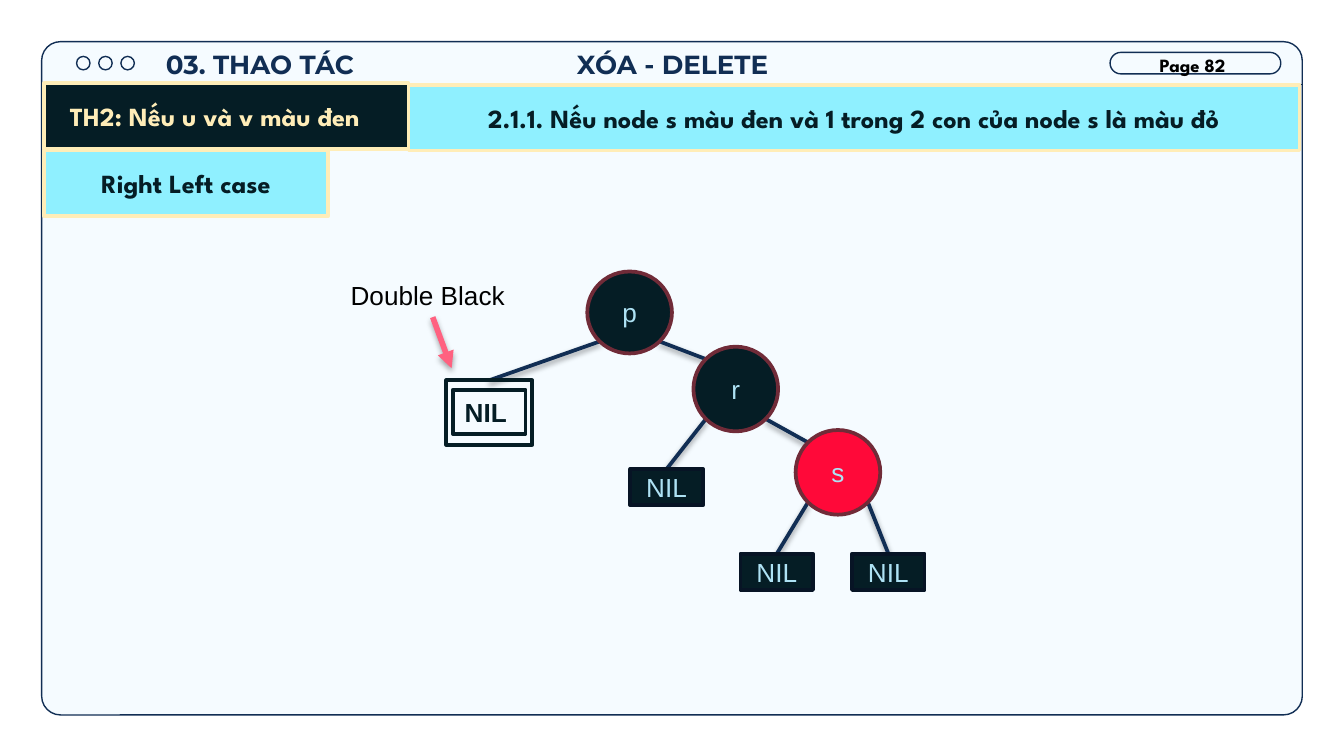
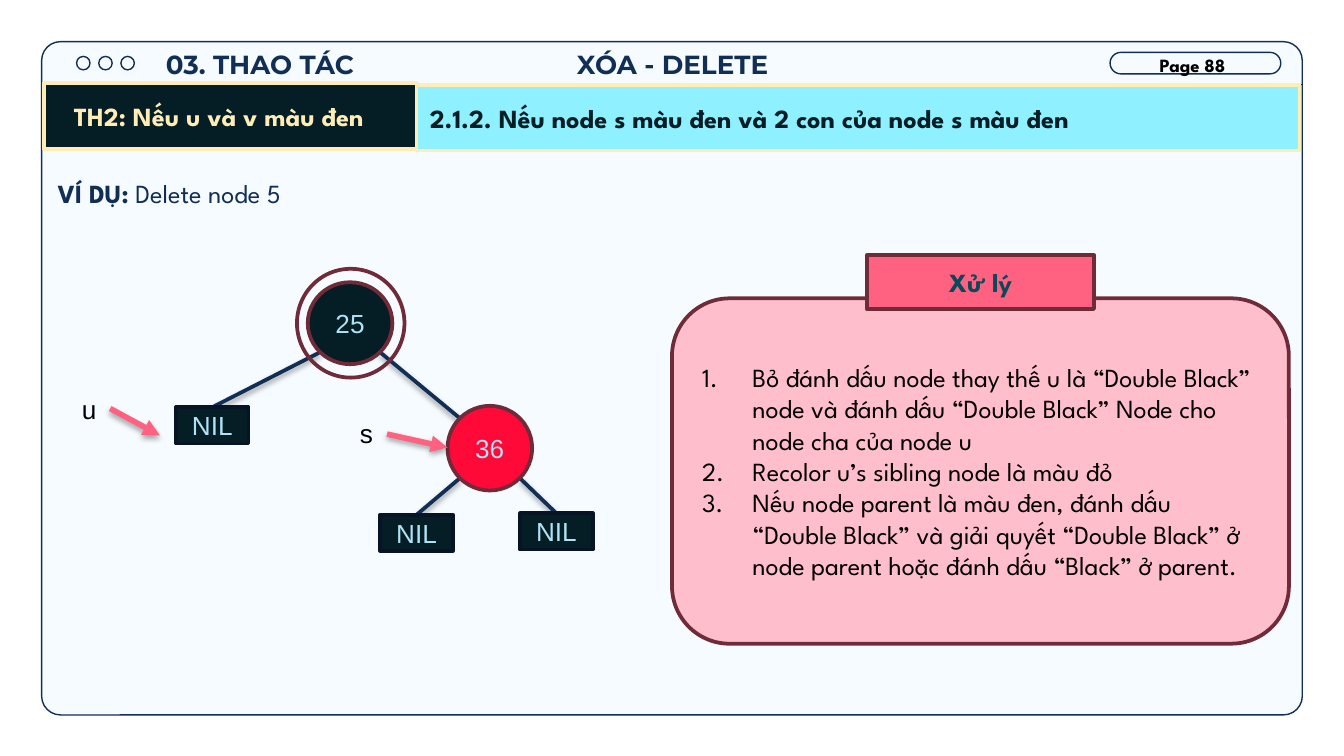
from dataclasses import dataclass
from itertools import count
from math import sqrt
from typing import NamedTuple, Optional

from lxml.etree import SubElement
from pptx import Presentation
from pptx.dml.color import RGBColor
from pptx.enum.shapes import MSO_CONNECTOR, MSO_SHAPE
from pptx.enum.text import MSO_ANCHOR, MSO_AUTO_SIZE, PP_ALIGN
from pptx.oxml.ns import qn
from pptx.util import Emu, Inches, Pt

SLIDE_WIDTH, SLIDE_HEIGHT = Inches(10), Inches(5.625)
COLUMNS = 100
CELL = SLIDE_WIDTH // COLUMNS

NAVY = RGBColor(0x11, 0x2E, 0x54)
INK = RGBColor(0x05, 0x1D, 0x25)
NIL_EDGE = RGBColor(0x07, 0x14, 0x25)
PAPER = RGBColor(0xF5, 0xFB, 0xFF)
CREAM = RGBColor(0xFF, 0xED, 0xB8)
CYAN = RGBColor(0x8F, 0xF0, 0xFF)
PALE_BLUE = RGBColor(0xAE, 0xE2, 0xF4)
RED = RGBColor(0xFF, 0x09, 0x39)
WINE = RGBColor(0x70, 0x2B, 0x38)
CORAL = RGBColor(0xFF, 0x61, 0x80)
PINK = RGBColor(0xFF, 0xBE, 0xCB)
TEAL = RGBColor(0x0C, 0x48, 0x5C)
BLACK = RGBColor(0, 0, 0)

LEFT, CENTER = PP_ALIGN.LEFT, PP_ALIGN.CENTER
DIAGONAL = sqrt(2) / 4


class Area(NamedTuple):
    """A rectangle in grid cells."""
    column: float
    row: float
    columns: float
    rows: float


class Point(NamedTuple):
    """A position in grid cells."""
    column: float
    row: float


class Run(NamedTuple):
    """A stretch of text in one format."""
    text: str
    font: str
    color: RGBColor
    bold: bool = False
    size: float = 14


class Look(NamedTuple):
    """Fill and outline of a shape."""
    fill: Optional[RGBColor]
    line: RGBColor
    width: float = 2


@dataclass(frozen=True)
class Node:
    """A tree node: a round key or a square NIL leaf."""
    label: str
    area: Area
    color: RGBColor = INK
    round: bool = True

    def corner(self, side: int, end: int) -> Point:
        """Return the rim point at a diagonal, or the top middle of a leaf."""
        column, row, columns, rows = self.area
        middle = column + columns / 2
        if not self.round:
            return Point(middle, row)
        return Point(middle + side * DIAGONAL * columns, row + rows / 2 + end * DIAGONAL * rows)


FRAME = Look(PAPER, NAVY, 0.75)
OUTLINE = Look(None, NAVY, 0.75)
DARK_BAND = Look(INK, CREAM)
CYAN_BAND = Look(CYAN, CREAM)
DOUBLE_BLACK = Look(None, INK)


def span(cells: float) -> Emu:
    """Turn grid cells into a length."""
    return Emu(round(cells * CELL))


def place(area: Area) -> list:
    """Turn an area into left, top, width and height."""
    return [span(cells) for cells in area]


def write(frame, paragraphs: list, align=LEFT, anchor=MSO_ANCHOR.TOP, inset: float = 0.5):
    """Fill a text frame with paragraphs of runs."""
    frame.word_wrap = True
    frame.auto_size = MSO_AUTO_SIZE.NONE
    frame.vertical_anchor = anchor
    frame.margin_left = frame.margin_right = span(1)
    frame.margin_top = frame.margin_bottom = span(inset)
    for index, runs in enumerate(paragraphs):
        paragraph = frame.add_paragraph() if index else frame.paragraphs[0]
        paragraph.alignment = align
        for part in runs:
            run = paragraph.add_run()
            run.text = part.text
            run.font.name, run.font.size = part.font, Pt(part.size)
            run.font.bold, run.font.color.rgb = part.bold, part.color
    return frame


def draw_text(shapes, area: Area, runs: list, **layout):
    """Add a text box and return its frame."""
    return write(shapes.add_textbox(*place(area)).text_frame, [runs], **layout)


def draw_shape(shapes, kind: MSO_SHAPE, area: Area, look: Look, paragraphs: list = (), align=CENTER):
    """Add a flat preset shape with centred text."""
    shape = shapes.add_shape(kind, *place(area))
    shape.shadow.inherit = False
    if look.fill is None:
        shape.fill.background()
    else:
        shape.fill.solid()
        shape.fill.fore_color.rgb = look.fill
    shape.line.color.rgb, shape.line.width = look.line, Pt(look.width)
    if paragraphs:
        write(shape.text_frame, paragraphs, align, MSO_ANCHOR.MIDDLE)
    return shape


def draw_line(shapes, start: Point, end: Point, color: RGBColor = NAVY, width: float = 2,
              shadow: int = 38, arrow: bool = False) -> None:
    """Add a straight line with a soft shadow and an optional arrowhead."""
    line = shapes.add_connector(MSO_CONNECTOR.STRAIGHT, *place((*start, *end)))
    line.line.color.rgb, line.line.width = color, Pt(width)
    properties = line.element.spPr
    if arrow:
        SubElement(properties.find(qn("a:ln")), qn("a:tailEnd"), type="triangle")
    effects = SubElement(properties, qn("a:effectLst"))
    if shadow:
        outer = SubElement(effects, qn("a:outerShdw"), blurRad=str(Pt(3.1)), dist=str(Pt(1.7)),
                           dir="5400000", algn="t", rotWithShape="0")
        shade = SubElement(outer, qn("a:srgbClr"), val=str(BLACK))
        SubElement(shade, qn("a:alpha"), val=str(shadow * 1000))


def draw_pointer(shapes, start: Point, end: Point, area: Area, label: str) -> None:
    """Add a labelled coral arrow."""
    draw_line(shapes, start, end, CORAL, 3, 35, True)
    draw_text(shapes, area, [Run(label, "Arial", BLACK)])


def key(label: str, column: float, row: float, color: RGBColor = INK, rows: float = 6.3) -> Node:
    """Make a round node."""
    return Node(label, Area(column, row, 6.3, rows), color)


def leaf(column: float, row: float) -> Node:
    """Make a NIL leaf."""
    return Node("NIL", Area(column, row, 5.4, 2.7), round=False)


def draw_node(shapes, node: Node) -> None:
    """Add a tree node with its label."""
    kind = MSO_SHAPE.FLOWCHART_CONNECTOR if node.round else MSO_SHAPE.RECTANGLE
    look = Look(node.color, WINE if node.round else NIL_EDGE)
    draw_shape(shapes, kind, node.area, look, [[Run(node.label, "Arial", PALE_BLUE)]])


def draw_branches(shapes, parent: Node, left: Node, right: Node) -> None:
    """Join a parent to its two children."""
    for side, child in ((-1, left), (1, right)):
        draw_line(shapes, parent.corner(side, 1), child.corner(-side, -1))


def draw_band(shapes, area: Area, text: str, look: Look = CYAN_BAND, color: RGBColor = INK, align=CENTER):
    """Add a heading band."""
    return draw_shape(shapes, MSO_SHAPE.RECTANGLE, area, look,
                      [[Run(text, "League Spartan", color, True)]], align)


def move_frame_to_layout(slide) -> None:
    """Draw the window frame once and keep it on the layout."""
    frame = slide.shapes.add_group_shape()
    window = draw_shape(frame.shapes, MSO_SHAPE.ROUNDED_RECTANGLE, Area(3.1, 3.1, 93.8, 50.1), FRAME)
    window.adjustments[0] = 0.028
    for index in range(3):
        draw_shape(frame.shapes, MSO_SHAPE.OVAL, Area(5.7 + 1.65 * index, 4.2, 1, 1), OUTLINE)
    pill = draw_shape(frame.shapes, MSO_SHAPE.ROUNDED_RECTANGLE, Area(82.6, 3.9, 12.7, 1.6), OUTLINE)
    pill.adjustments[0] = 0.5
    draw_line(frame.shapes, Point(3.1, 6.3), Point(96.9, 6.3), width=0.75, shadow=0)
    for number, properties in zip(count(100), frame.element.xpath("descendant::p:cNvPr")):
        properties.set("id", str(number))
    slide.slide_layout.shapes.element.append(frame.element)


def draw_header(slide, page: int, split: float, case: str, align=CENTER) -> None:
    """Add the title, section, page number and the two case bands."""
    title = slide.shapes.title
    title.left, title.top, title.width, title.height = place(Area(7.9, 2.6, 84.3, 3.9))
    write(title.text_frame, [[Run("XÓA - DELETE", "Montserrat", NAVY, True)]], CENTER, inset=1)
    draw_text(slide.shapes, Area(10.7, 2.6, 17.3, 4.6),
              [Run("03. THAO TÁC", "Montserrat", NAVY, True)], align=CENTER, inset=1)
    band = draw_band(slide.shapes, Area(3.3, 6.2, split - 3.3, 4.9),
                     "TH2: Nếu u và v màu đen", DARK_BAND, CREAM)
    band.text_frame.margin_right = span(2.7)
    draw_band(slide.shapes, Area(split, 6.3, 96.7 - split, 4.9), case, align=align)
    draw_text(slide.shapes, Area(85.3, 3.5, 7.5, 2.7),
              [Run(f"Page {page}", "League Spartan", BLACK, True, 10)])


def build_right_left_case(slide) -> None:
    """Draw the tree of the right left case."""
    shapes = slide.shapes
    draw_header(slide, 82, 30.4, "2.1.1. Nếu node s màu đen và 1 trong 2 con của node s là màu đỏ")
    draw_band(shapes, Area(3.3, 11.2, 21.1, 4.9), "Right Left case")
    p, r, s = key("p", 43.7, 20.2, rows=6.1), key("r", 51.6, 25.8), key("s", 59.2, 32, RED)
    r_left, s_left, s_right = leaf(46.9, 34.9), leaf(55.1, 41.2), leaf(63.4, 41.2)
    deleted = Node("NIL", Area(33.2, 28.3, 6.4, 4.8), round=False)
    for family in ((p, deleted, r), (r, r_left, s), (s, s_left, s_right)):
        draw_branches(shapes, *family)
    for node in (p, r, s, r_left, s_left, s_right):
        draw_node(shapes, node)
    draw_pointer(shapes, Point(32.2, 23.6), Point(33.6, 27.4), Area(25.1, 20.3, 14.2, 3.4), "Double Black")
    marked = shapes.add_group_shape().shapes
    draw_text(marked, Area(33.1, 29.3, 6.1, 2.7), [Run(deleted.label, "Arial", INK, True)],
              align=CENTER, anchor=MSO_ANCHOR.MIDDLE)
    for border in (Area(33.7, 29, 5.4, 3.3), deleted.area):
        draw_shape(marked, MSO_SHAPE.RECTANGLE, border, DOUBLE_BLACK)


def number_steps(frame) -> None:
    """Turn the paragraphs into a numbered list."""
    for paragraph in frame.paragraphs:
        properties = paragraph._p.get_or_add_pPr()
        properties.set("marL", str(span(3.75)))
        properties.set("indent", str(-span(3.75)))
        color = SubElement(properties, qn("a:buClr"))
        SubElement(color, qn("a:srgbClr"), val=str(BLACK))
        SubElement(properties, qn("a:buFont"), typeface="League Spartan")
        SubElement(properties, qn("a:buAutoNum"), type="arabicPeriod")


def build_two_black_children(slide) -> None:
    """Draw the worked example and its handling steps."""
    shapes = slide.shapes
    draw_header(slide, 88, 31, "2.1.2. Nếu node s màu đen và 2 con của node s màu đen", LEFT)
    example = draw_text(shapes, Area(3.3, 11, 90.6, 5.4),
                        [Run("VÍ DỤ:", "League Spartan", NAVY, True),
                         Run(" Delete node 5", "League Spartan", NAVY)], inset=1)
    example.paragraphs[0].line_spacing = 1.5
    root, sibling = key("25", 22.9, 21, rows=6.1), key("36", 33.3, 30.2, RED)
    deleted, inner, outer = leaf(13.1, 30.3), leaf(28.3, 38.3), leaf(38.7, 38.2)
    draw_branches(shapes, root, deleted, sibling)
    draw_branches(shapes, sibling, inner, outer)
    for node in (root, sibling, deleted, inner, outer):
        draw_node(shapes, node)
    draw_shape(shapes, MSO_SHAPE.OVAL, Area(22.1, 20, 8, 8.1), Look(None, WINE))
    draw_pointer(shapes, Point(28.8, 32.3), Point(33.3, 33.3), Area(25.8, 30.6, 3.1, 3.4), "s")
    draw_pointer(shapes, Point(8.2, 30.4), Point(11.9, 32.4), Area(5.1, 28.8, 3.1, 3.4), "u")

    steps = (
        "Bỏ đánh dấu node thay thế u là “Double Black” node và đánh dấu “Double Black” Node cho "
        "node cha của node u",
        "Recolor u’s sibling node là màu đỏ",
        "Nếu node parent là màu đen, đánh dấu “Double Black” và giải quyết “Double Black” ở "
        "node parent hoặc đánh dấu “Black” ở parent.",
    )
    handling = shapes.add_group_shape().shapes
    panel = draw_shape(handling, MSO_SHAPE.ROUNDED_RECTANGLE, Area(50, 22.2, 45.9, 25.7), Look(PINK, WINE),
                       [[Run(step, "League Spartan", BLACK)] for step in steps], LEFT)
    number_steps(panel.text_frame)
    draw_band(handling, Area(64.5, 19, 16.9, 4), "Xử lý", Look(CORAL, WINE), TEAL)


def main() -> None:
    """Build and save the presentation."""
    deck = Presentation()
    deck.slide_width, deck.slide_height = SLIDE_WIDTH, SLIDE_HEIGHT
    title_only = deck.slide_layouts[5]
    slides = [deck.slides.add_slide(title_only) for _ in range(2)]
    move_frame_to_layout(slides[0])
    build_right_left_case(slides[0])
    build_two_black_children(slides[1])
    deck.save("out.pptx")


if __name__ == "__main__":
    main()
